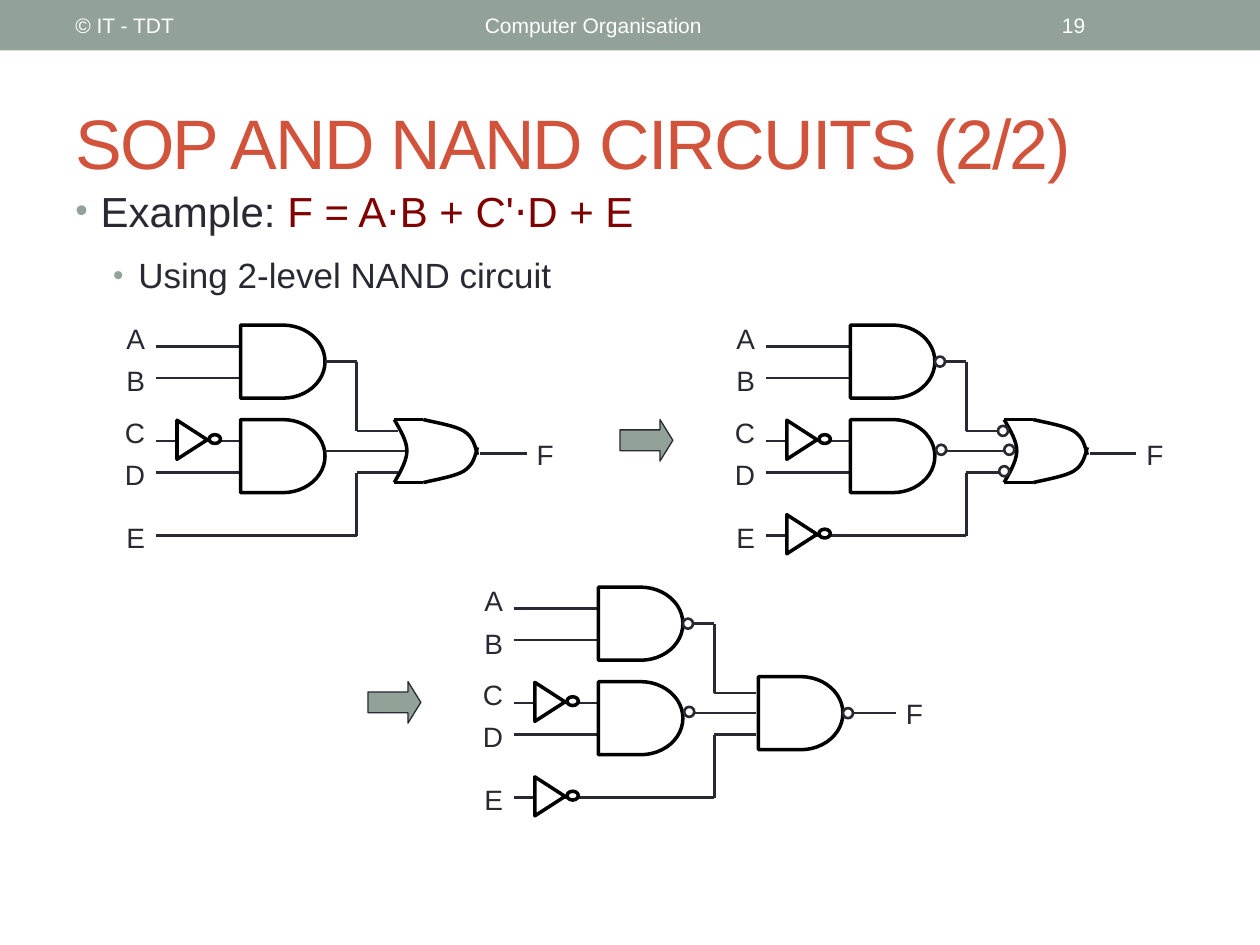
from pptx import Presentation
from pptx.util import Inches, Pt
from pptx.dml.color import RGBColor
from pptx.enum.shapes import MSO_SHAPE, MSO_CONNECTOR
from pptx.enum.text import PP_ALIGN, MSO_ANCHOR
from pptx.oxml.ns import qn
from lxml.etree import SubElement

HUE = {"sage": "93A299", "ink": "292934", "title": "D2533C",
       "maroon": "800000", "white": "FFFFFF", "black": "000000"}

HEADER = [("© IT - TDT", 0.5, 3.17), ("Computer Organisation", 3.75, 4.5),
          ("19", 8.33, 1.17)]
TITLE = "SOP AND NAND CIRCUITS (2/2)"
BODY = [
    (0, 24, 0.2, 0, [("Example:", "ink"), (" F = A⋅B + C'⋅D + E", "maroon")]),
    (1, 20, 0.5, 10.4, [("Using 2-level NAND circuit", "ink")]),
]

LABELS = [("A", 0), ("B", 0.34), ("C", 0.75), ("D", 1.08), ("E", 1.58)]
WIRES = [
    (0.41, 0.25, 1.08, 0.25), (0.41, 0.5, 1.08, 0.5),
    (0.41, 1, 1.08, 1), (0.41, 1.25, 1.08, 1.25),
    (0.41, 1.75, 2, 1.75), (2, 1.25, 2, 1.75), (2, 1.25, 2.33, 1.25),
    (2, 0.37, 2, 0.92), (2, 0.92, 2.33, 0.92),
]
NAND_DOTS = [(1.75, 0.33), (1.76, 1.03)]
OR_DOTS = [(2.25, 0.88), (2.3, 1.03), (2.26, 1.2)]
BACK = [(2.3, 0.83), (2.35, 0.92), (2.4, 1), (2.4, 1.08),
        (2.4, 1.17), (2.32, 1.29), (2.3, 1.33)]
FRONT = [(2.53, 0.83), (2.66, 0.86), (2.78, 0.88), (2.85, 0.92),
         (2.93, 0.97), (2.94, 1.04), (2.96, 1.11)]
BELLY = [(x, 2.16 - y) for x, y in FRONT]

CIRCUITS = [
    dict(at=(0.83, 2.5), last="or", nots=[0], dots=[], arrow=False),
    dict(at=(5.67, 2.5), last="or", nots=[0, 0.75],
         dots=NAND_DOTS + OR_DOTS, arrow=True),
    dict(at=(3.67, 4.58), last="nand", nots=[0, 0.75],
         dots=NAND_DOTS + [(3.02, 1.04)], arrow=True),
]


def color(name):
    return RGBColor.from_string(HUE[name])


def write(para, text, size, hue):
    run = para.add_run()
    run.text = text
    run.font.size = Pt(size)
    run.font.name = "Arial"
    run.font.color.rgb = color(hue)
    return run


def add_box(shapes, x, y, w, h, anchor=MSO_ANCHOR.TOP):
    box = shapes.add_textbox(Inches(x), Inches(y), Inches(w), Inches(h))
    frame = box.text_frame
    frame.word_wrap = True
    frame.vertical_anchor = anchor
    return frame


def style(shape, fill, line, width):
    shape.shadow.inherit = False
    if fill:
        shape.fill.solid()
        shape.fill.fore_color.rgb = color(fill)
    else:
        shape.fill.background()
    if line:
        shape.line.color.rgb = color(line)
        shape.line.width = Pt(width)
    else:
        shape.line.fill.background()


def add_form(shapes, kind, x, y, w, h, fill=None, line="black", width=2):
    form = shapes.add_shape(kind, Inches(x), Inches(y), Inches(w), Inches(h))
    style(form, fill, line, width)
    return form


def add_bullet(para, level, left):
    para.level = level
    props = para._p.get_or_add_pPr()
    props.set("marL", str(Inches(left)))
    props.set("indent", str(Inches(-0.2)))
    tint = SubElement(props, qn("a:buClr"))
    SubElement(tint, qn("a:srgbClr")).set("val", HUE["sage"])
    SubElement(props, qn("a:buSzPct")).set("val", "85000")
    SubElement(props, qn("a:buFont")).set("typeface", "Arial")
    SubElement(props, qn("a:buChar")).set("char", "•")


def bend(shape):
    lines = list(shape._element.iter(qn("a:lnTo")))
    route = lines[0].getparent()
    for i in range(0, len(lines), 3):
        cubic = SubElement(route, qn("a:cubicBezTo"))
        for line in lines[i:i + 3]:
            cubic.append(line[0])
            route.remove(line)


def draw_circuit(slide, at, last, nots, dots, arrow):
    ox, oy = at
    shapes = slide.shapes.add_group_shape().shapes

    def form(kind, x, y, w, h, **look):
        return add_form(shapes, kind, ox + x, oy + y, w, h, **look)

    def wire(x1, y1, x2, y2, hue="ink", width=1.5):
        line = shapes.add_connector(
            MSO_CONNECTOR.STRAIGHT, Inches(ox + x1), Inches(oy + y1),
            Inches(ox + x2), Inches(oy + y2))
        line.line.color.rgb = color(hue)
        line.line.width = Pt(width)
        SubElement(line._element.spPr, qn("a:effectLst"))
        return line

    def curve(points):
        spots = [(Inches(ox + x), Inches(oy + y)) for x, y in points]
        pen = shapes.build_freeform(*spots[0])
        pen.add_line_segments(spots[1:], close=False)
        shape = pen.convert_to_shape()
        bend(shape)
        style(shape, None, "black", 2)

    def label(text, x, y, w, align):
        para = add_box(shapes, ox + x, oy + y, w, 0.37).paragraphs[0]
        para.alignment = align
        write(para, text, 16, "ink")

    if arrow:
        block = form(MSO_SHAPE.RIGHT_ARROW, -0.75, 0.83, 0.42, 0.33,
                     fill="sage", line="ink", width=0.75)
        block.adjustments[1] = 0.31
    for text, y in LABELS:
        label(text, 0, y, 0.42, PP_ALIGN.RIGHT)
    for ends in WIRES:
        wire(*ends)
    top, low = [form(MSO_SHAPE.FLOWCHART_DELAY, 1.08, y, 0.67, 0.58)
                for y in (0.08, 0.83)]
    wire(1.75, 0.37, 2, 0.37).begin_connect(top, 3)
    wire(1.75, 1.08, 2.4 if last == "or" else 2.33, 1.08)

    if last == "or":
        for points in (BACK, FRONT, BELLY):
            curve(points)
        for y in (0.83, 1.33):
            wire(2.3, y, 2.53, y, "black", 2)
        fx, fy = 2.98, 1.1
    else:
        form(MSO_SHAPE.FLOWCHART_DELAY, 2.35, 0.79, 0.67, 0.58)
        fx, fy = 3.07, 1.08
    wire(fx, fy, fx + 0.37, fy)
    label("F", fx + 0.35, fy - 0.18, 0.48, PP_ALIGN.LEFT)

    for drop in nots:
        tip = form(MSO_SHAPE.FLOWCHART_MERGE, 0.54, 0.87 + drop, 0.31, 0.24,
                   fill="white")
        tip.rotation = 270
        form(MSO_SHAPE.OVAL, 0.83, 0.95 + drop, 0.09, 0.07, fill="white")
    for x, y in dots:
        form(MSO_SHAPE.OVAL, x, y, 0.08, 0.08, fill="white", line="ink",
             width=1.5)


def main():
    deck = Presentation()
    deck.slide_width, deck.slide_height = Inches(10), Inches(7.5)
    slide = deck.slides.add_slide(deck.slide_layouts[6])
    shapes = slide.shapes

    add_form(shapes, MSO_SHAPE.RECTANGLE, 0, 0, 10, 0.4, fill="sage", line=None)
    for text, x, w in HEADER:
        frame = add_box(shapes, x, 0.02, w, 0.36, MSO_ANCHOR.MIDDLE)
        write(frame.paragraphs[0], text, 12, "white")

    frame = add_box(shapes, 0.5, 0.58, 9, 1.08, MSO_ANCHOR.MIDDLE)
    run = write(frame.paragraphs[0], TITLE, 40, "title")
    run.font._element.set("spc", "-100")

    frame = add_box(shapes, 0.5, 1.42, 9, 5.42)
    for i, (level, size, left, gap, runs) in enumerate(BODY):
        para = frame.add_paragraph() if i else frame.paragraphs[0]
        para.space_before = Pt(gap)
        add_bullet(para, level, left)
        for text, hue in runs:
            write(para, text, size, hue)

    for circuit in CIRCUITS:
        draw_circuit(slide, **circuit)
    deck.save("out.pptx")


if __name__ == "__main__":
    main()
